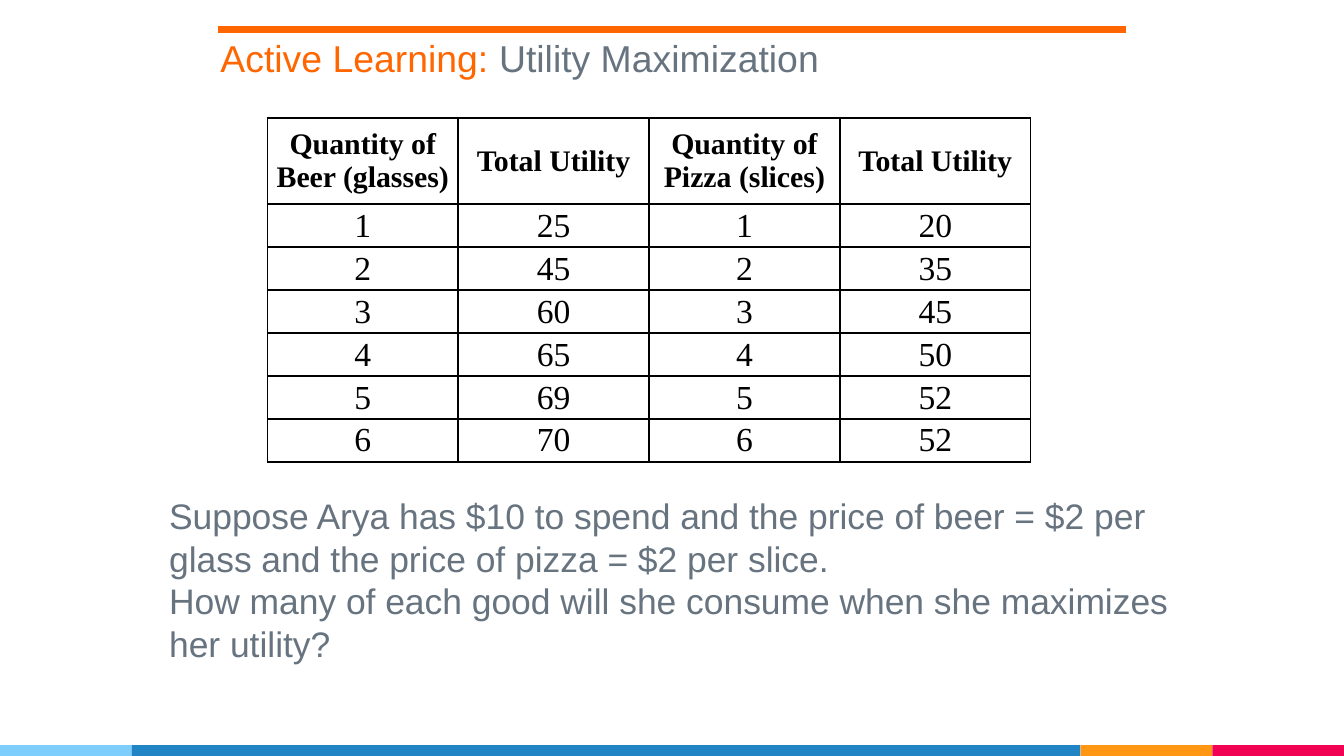
from lxml import etree
from pptx import Presentation, util as u
from pptx.dml.color import RGBColor
from pptx.enum import shapes, text
from pptx.oxml.ns import qn

ORANGE = RGBColor(0xFF, 0x66, 0x00)
SLATE = RGBColor(0x67, 0x74, 0x80)
BLACK = RGBColor(0x00, 0x00, 0x00)
WHITE = RGBColor(0xFF, 0xFF, 0xFF)
SKY = RGBColor(0x7E, 0xCE, 0xFD)
BLUE = RGBColor(0x21, 0x85, 0xC5)
AMBER = RGBColor(0xFF, 0x97, 0x15)
PINK = RGBColor(0xF2, 0x02, 0x53)


def add_run(paragraph, words, size, color, font="Arial", bold=False):
    run = paragraph.add_run()
    run.text = words
    run.font.size = u.Pt(size)
    run.font.name = font
    run.font.bold = bold
    run.font.color.rgb = color


def add_borders(cell):
    """Draw a 1 pt black line on all four sides, ahead of the cell's fill."""
    props = cell._tc.get_or_add_tcPr()
    for position, side in enumerate(("lnL", "lnR", "lnT", "lnB")):
        line = etree.Element(qn(f"a:{side}"), w=str(u.Pt(1)))
        fill = etree.SubElement(line, qn("a:solidFill"))
        etree.SubElement(fill, qn("a:srgbClr"), val=str(BLACK))
        props.insert(position, line)


deck = Presentation()
deck.slide_width = u.Inches(10)
deck.slide_height = deck.slide_width * 9 // 16
slide = deck.slides.add_slide(deck.slide_layouts[5])

# Colour strip along the bottom edge
strip_height = u.Inches(0.08)
end_width = u.Inches(0.98)
middle_width = deck.slide_width - 3 * end_width
left = 0
for width, color in ((end_width, SKY), (middle_width, BLUE), (end_width, AMBER), (end_width, PINK)):
    band = slide.shapes.add_shape(
        shapes.MSO_SHAPE.RECTANGLE, left, deck.slide_height - strip_height, width, strip_height)
    band.shadow.inherit = False
    band.fill.solid()
    band.fill.fore_color.rgb = color
    band.line.fill.background()
    left += width

# Title under its rule
title = slide.shapes.title
title.left, title.top = u.Inches(1.54), u.Inches(0.21)
title.width, title.height = u.Inches(6.84), u.Inches(0.94)
heading = title.text_frame
heading.word_wrap = True
heading.auto_size = text.MSO_AUTO_SIZE.NONE
heading.vertical_anchor = text.MSO_ANCHOR.TOP
heading.margin_top = u.Inches(0.05)
heading.paragraphs[0].alignment = text.PP_ALIGN.LEFT
add_run(heading.paragraphs[0], "Active Learning: ", 20, ORANGE)
add_run(heading.paragraphs[0], "Utility Maximization", 20, SLATE)

rule = slide.shapes.add_connector(
    shapes.MSO_CONNECTOR.STRAIGHT, u.Inches(1.62), u.Inches(0.22), u.Inches(8.38), u.Inches(0.22))
rule.line.color.rgb = ORANGE
rule.line.width = u.Pt(4)
etree.SubElement(rule._element.spPr, qn("a:effectLst"))

# Question
question = slide.shapes.add_textbox(
    u.Inches(1.16), u.Inches(3.63), u.Inches(7.81), u.Inches(1.38)).text_frame
question.word_wrap = True
for index, sentence in enumerate((
        "Suppose Arya has $10 to spend and the price of beer = $2 per glass "
        "and the price of pizza = $2 per slice.",
        "How many of each good will she consume when she maximizes her utility?")):
    paragraph = question.add_paragraph() if index else question.paragraphs[0]
    add_run(paragraph, sentence, 19, SLATE)

# Utility table
utilities = [
    ("Quantity of Beer (glasses)", "Total Utility", "Quantity of Pizza (slices)", "Total Utility"),
    (1, 25, 1, 20),
    (2, 45, 2, 35),
    (3, 60, 3, 45),
    (4, 65, 4, 50),
    (5, 69, 5, 52),
    (6, 70, 6, 52),
]
column, row = u.Inches(1.42), u.Inches(0.32)
grid = slide.shapes.add_table(
    len(utilities), 4, u.Inches(1.99), u.Inches(0.88), 4 * column, 8 * row).table
for grid_column in grid.columns:
    grid_column.width = column
for r, values in enumerate(utilities):
    header = r == 0
    grid.rows[r].height = 2 * row if header else row
    for c, value in enumerate(values):
        cell = grid.cell(r, c)
        cell.fill.solid()
        cell.fill.fore_color.rgb = WHITE
        add_borders(cell)
        cell.vertical_anchor = text.MSO_ANCHOR.MIDDLE
        cell.margin_left = cell.margin_right = cell.margin_top = cell.margin_bottom = 0
        paragraph = cell.text_frame.paragraphs[0]
        paragraph.alignment = text.PP_ALIGN.CENTER
        add_run(paragraph, str(value), 16 if header else 18, BLACK, "Times New Roman", header)

deck.save("out.pptx")
